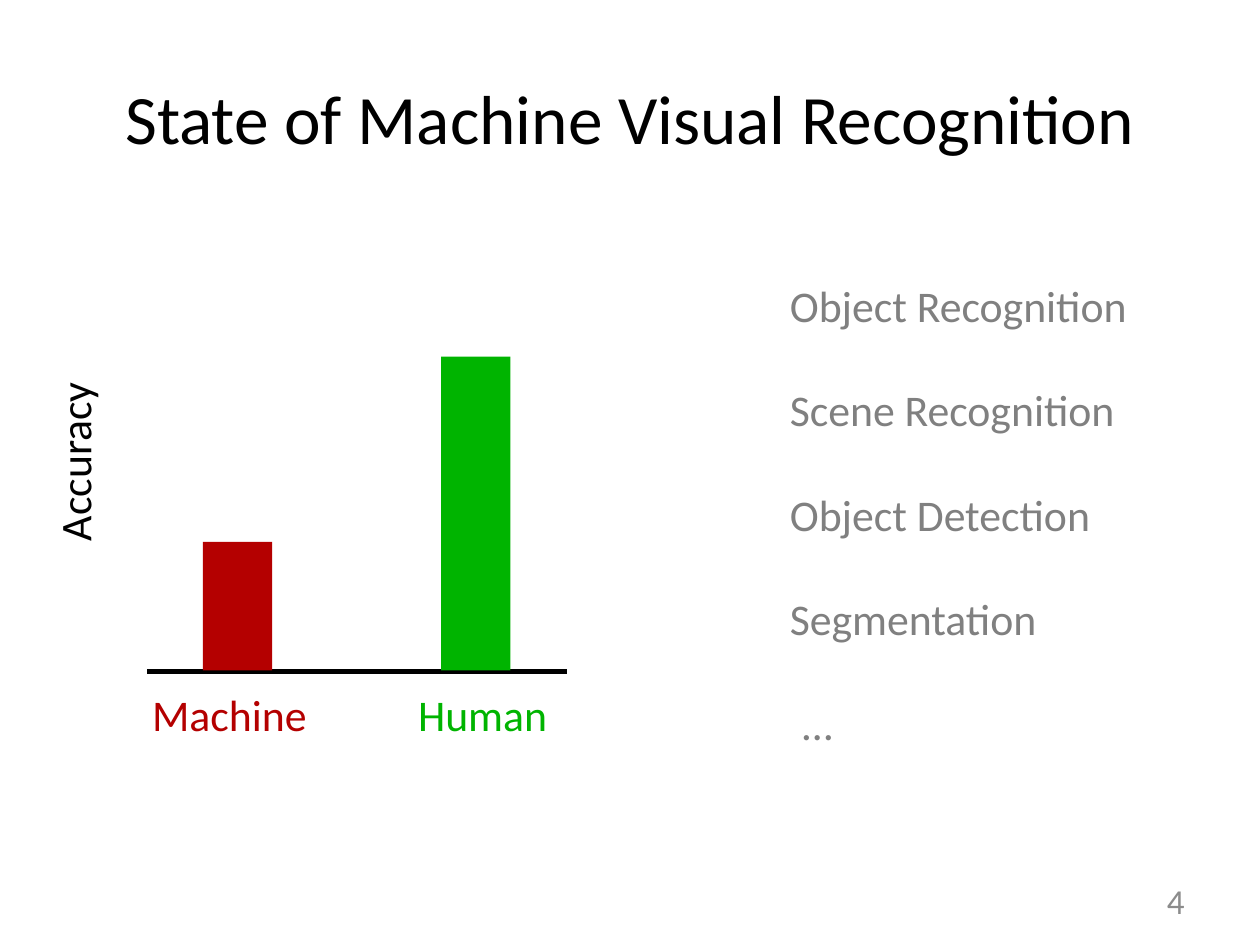
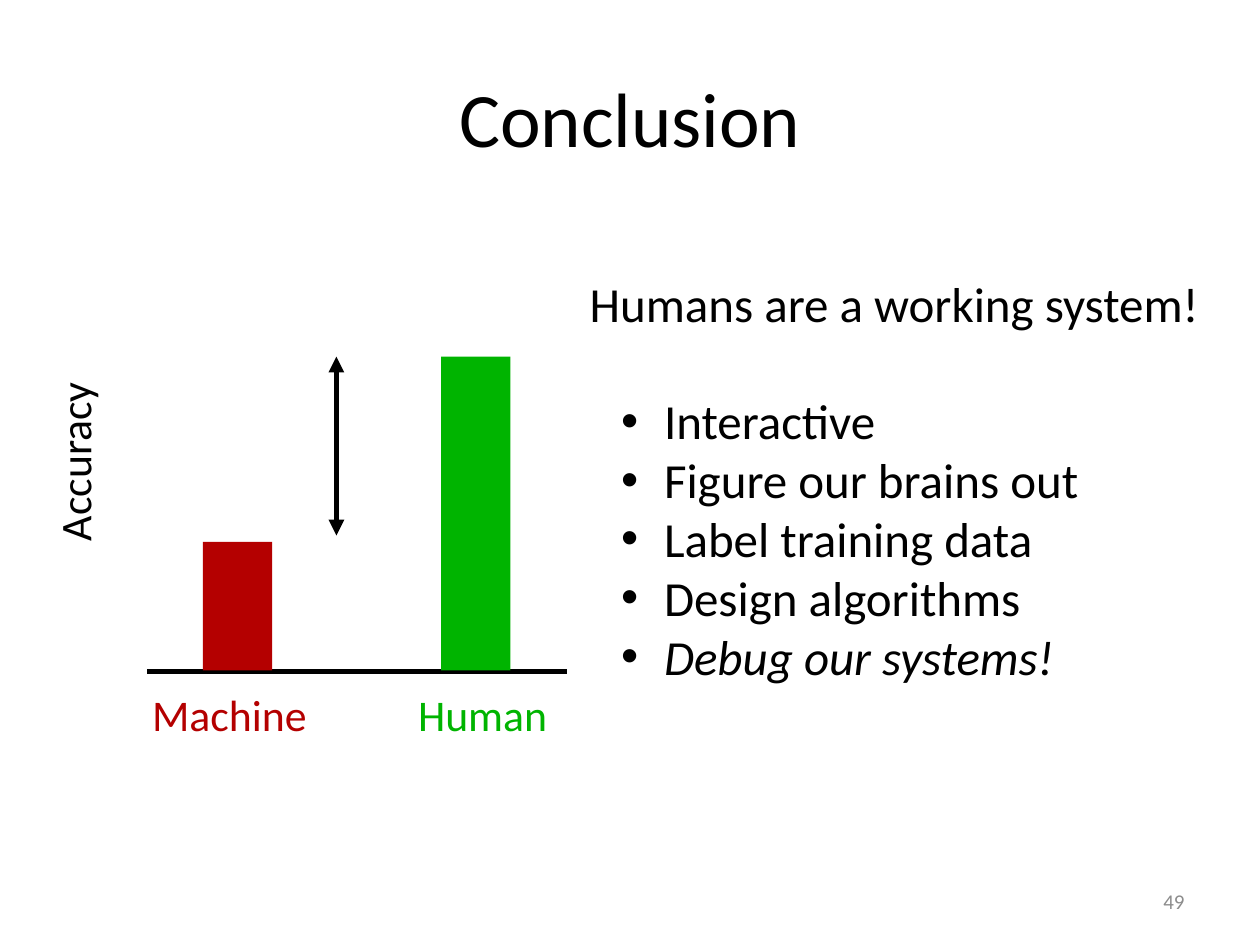
from dataclasses import dataclass

from lxml import etree
from pptx import Presentation
from pptx.dml.color import RGBColor
from pptx.enum.shapes import MSO_CONNECTOR, MSO_SHAPE
from pptx.enum.text import MSO_ANCHOR, MSO_AUTO_SIZE, PP_ALIGN
from pptx.oxml.ns import qn
from pptx.util import Inches, Pt

LEFT, MID, RIGHT = PP_ALIGN.LEFT, PP_ALIGN.CENTER, PP_ALIGN.RIGHT
TOP, CENTER = MSO_ANCHOR.TOP, MSO_ANCHOR.MIDDLE
RECT, LINE = MSO_SHAPE.RECTANGLE, MSO_CONNECTOR.STRAIGHT
NO_FIT = MSO_AUTO_SIZE.NONE


@dataclass(frozen=True)
class Theme:
    font: str = "Calibri"
    black: str = "000000"
    grey: str = "808080"
    pale: str = "8C8C8C"
    red: str = "B40000"
    green: str = "00B400"
    label: float = 25
    list: float = 28
    rule: float = 3


T = Theme()


def write(shape, *lines, size=T.label, color=T.black, align=LEFT,
          anchor=TOP, bullet=False, gap=0, last_italic=False):
    """Fill a shape with lines; with bullet, all but the first are list items."""
    frame = shape.text_frame
    frame.word_wrap, frame.auto_size = True, NO_FIT
    frame.vertical_anchor = anchor
    for i, line in enumerate(lines):
        para = frame.add_paragraph() if i else frame.paragraphs[0]
        para.text = line
        item = bullet and i > 0
        props = para._p.get_or_add_pPr()
        props.set("marL", str(Inches(0.59 if item else 0)))
        props.set("indent", str(Inches(-0.34 if item else 0)))
        para.alignment, para.line_spacing = align, 1.0
        para.space_before = Pt(gap if i == 1 else 0)
        if item:
            face = etree.SubElement(props, qn("a:buFont"))
            face.set("typeface", "Arial")
            etree.SubElement(props, qn("a:buChar")).set("char", "•")
        else:
            etree.SubElement(props, qn("a:buNone"))
        font = para.runs[0].font
        font.name, font.size = T.font, Pt(size)
        font.color.rgb = RGBColor.from_string(color)
        if last_italic and i == len(lines) - 1:
            font.italic = True


def rule(slide, x1, y1, x2, y2, arrows=False):
    line = slide.shapes.add_connector(
        LINE, Inches(x1), Inches(y1), Inches(x2), Inches(y2))
    line.line.width = Pt(T.rule)
    line.line.color.rgb = RGBColor.from_string(T.black)
    if arrows:
        for end in ("a:headEnd", "a:tailEnd"):
            etree.SubElement(line.line._ln, qn(end)).set("type", "triangle")
    etree.SubElement(line._element.spPr, qn("a:effectLst"))


deck = Presentation()
deck.slide_width, deck.slide_height = Inches(10), Inches(7.5)
state = deck.slides.add_slide(deck.slide_layouts[5])
final = deck.slides.add_slide(deck.slide_layouts[1])

# Shared by both slides: title, bar chart, page number
BASE = 5.33
bars = [("Machine", T.red, 1.61, 4.3, 0.82),
        ("Human", T.green, 3.5, 2.83, 2.83)]
pages = [(state, "State of Machine Visual Recognition", 39.6, "4", 20),
         (final, "Conclusion", 44, "49", 12)]

for slide, head, head_size, page, page_size in pages:
    title = slide.shapes.title
    title.left, title.top = Inches(0.5), Inches(0.3)
    title.width, title.height = Inches(9), Inches(1.25)
    write(title, head, size=head_size, align=MID, anchor=CENTER)

    rule(slide, 1.17, BASE, 4.5, BASE)
    for name, color, x, top, text_x in bars:
        bar = slide.shapes.add_shape(
            RECT, Inches(x), Inches(top), Inches(0.55), Inches(BASE - top - 0.01))
        bar.shadow.inherit = False
        bar.fill.solid()
        bar.fill.fore_color.rgb = RGBColor.from_string(color)
        bar.line.fill.background()
        label = slide.shapes.add_textbox(
            Inches(text_x), Inches(5.42), Inches(2), Inches(0.5))
        write(label, name, color=color, align=MID, anchor=CENTER)

    axis = slide.shapes.add_textbox(
        Inches(0.33), Inches(2), Inches(0.5), Inches(3.33))
    write(axis, "Accuracy", align=MID)
    axis.text_frame._txBody.bodyPr.set("vert", "vert270")

    number = slide.shapes.add_textbox(
        Inches(7.17), Inches(6.95), Inches(2.33), Inches(0.4))
    write(number, page, size=page_size, color=T.pale, align=RIGHT, anchor=CENTER)

# State of Machine Visual Recognition: tasks
tasks = ["Object Recognition", "Scene Recognition", "Object Detection",
         "Segmentation", "…"]
for i, task in enumerate(tasks):
    x = 6.27 if task == "…" else 6.17
    box = state.shapes.add_textbox(
        Inches(x), Inches(2.16 + 0.83 * i), Inches(3.25), Inches(0.52))
    write(box, task, color=T.grey)

# Conclusion: gap between the bars, and what humans offer
rule(final, 2.67, 2.83, 2.67, 4.25, arrows=True)
body = final.placeholders[1]
body.left, body.top = Inches(4.58), Inches(2.12)
body.width, body.height = Inches(5.42), Inches(3.4)
write(body, "Humans are a working system!", "Interactive",
      "Figure our brains out", "Label training data", "Design algorithms",
      "Debug our systems!", size=T.list, bullet=True, gap=33.5,
      last_italic=True)

deck.save("out.pptx")
